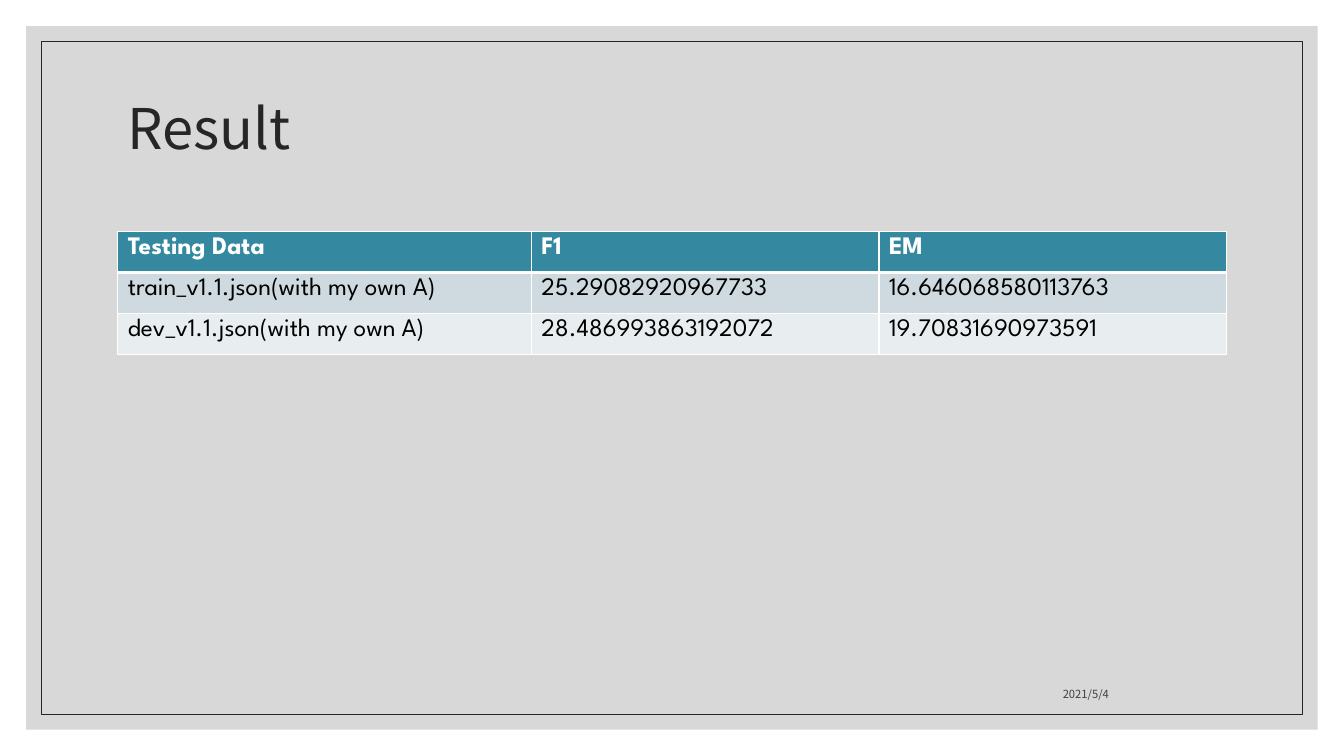
from dataclasses import dataclass

from lxml.etree import SubElement
from pptx import Presentation
from pptx.dml.color import RGBColor
from pptx.enum.shapes import MSO_SHAPE
from pptx.enum.text import MSO_ANCHOR, MSO_AUTO_SIZE, PP_ALIGN
from pptx.oxml import parse_xml
from pptx.oxml.ns import nsdecls, qn
from pptx.util import Cm, Pt

TITLE = "Result"
DATE = "2021/5/4"
RESULTS = [
    ("Testing Data", "F1", "EM"),
    ("train_v1.1.json(with my own A)", "25.29082920967733", "16.646068580113763"),
    ("dev_v1.1.json(with my own A)", "28.486993863192072", "19.70831690973591"),
]


@dataclass(frozen=True)
class Theme:
    heading_font: str = "Noto Sans CJK TC"
    table_font: str = "League Spartan"
    title_size: int = 40
    table_size: int = 18
    date_size: int = 8
    panel: str = "BFBFBF"
    panel_opacity: int = 60
    ink: str = "262626"
    date_ink: str = "404040"
    header_ink: str = "FFFFFF"
    body_ink: str = "000000"
    header_fill: str = "3488A0"
    bands: tuple = ("CEDADF", "E8EDF0")
    border: str = "FFFFFF"
    border_width: float = 1
    header_rule: float = 3
    frame_width: float = 0.5


THEME = Theme()
SLIDE_WIDTH, SLIDE_HEIGHT = Cm(33.87), Cm(19.05)
CONTENT_LEFT, CONTENT_WIDTH = Cm(2.97), Cm(27.94)
TABLE_TOP, ROW_HEIGHT = Cm(5.84), Cm(1.03)
COLUMN_WIDTHS = (Cm(10.42), Cm(8.76), Cm(8.76))


def style_text(text_frame, font, size, colour, bold=False):
    for para in text_frame.paragraphs:
        for span in para.runs:
            span.font.name = font
            span.font.size = Pt(size)
            span.font.bold = bold
            span.font.color.rgb = RGBColor.from_string(colour)


def add_inset_rectangle(page, inset):
    """Add a plain rectangle the same distance from every slide edge."""
    box = page.shapes.add_shape(
        MSO_SHAPE.RECTANGLE, inset, inset,
        SLIDE_WIDTH - 2 * inset, SLIDE_HEIGHT - 2 * inset)
    box.shadow.inherit = False
    return box


def add_background(page):
    panel = add_inset_rectangle(page, Cm(0.66))
    panel.fill.solid()
    panel.fill.fore_color.rgb = RGBColor.from_string(THEME.panel)
    colour = panel.element.spPr.find(qn("a:solidFill")).find(qn("a:srgbClr"))
    SubElement(colour, qn("a:alpha"), val=str(THEME.panel_opacity * 1000))
    panel.line.fill.background()

    frame = add_inset_rectangle(page, Cm(1.04))
    frame.fill.background()
    frame.line.color.rgb = RGBColor.from_string(THEME.ink)
    frame.line.width = Pt(THEME.frame_width)


def place_title(page):
    title = page.shapes.title
    title.left, title.top = CONTENT_LEFT, Cm(1.78)
    title.width, title.height = CONTENT_WIDTH, Cm(3.07)
    title.text_frame.text = TITLE
    title.text_frame.auto_size = MSO_AUTO_SIZE.NONE
    title.text_frame.vertical_anchor = MSO_ANCHOR.MIDDLE
    para = title.text_frame.paragraphs[0]
    para.alignment = PP_ALIGN.LEFT
    para.line_spacing = 0.9
    style_text(title.text_frame, THEME.heading_font, THEME.title_size, THEME.ink)
    # Bring the title in front of the background panel.
    title.element.getparent().append(title.element)


def set_borders(cell, top, bottom):
    """Draw all four cell edges; top and bottom are widths in points."""
    properties = cell._tc.get_or_add_tcPr()
    widths = {"lnL": THEME.border_width, "lnR": THEME.border_width,
              "lnT": top, "lnB": bottom}
    for position, (edge, width) in enumerate(widths.items()):
        properties.insert(position, parse_xml(
            f'<a:{edge} {nsdecls("a")} w="{Pt(width)}"><a:solidFill>'
            f'<a:srgbClr val="{THEME.border}"/></a:solidFill></a:{edge}>'))


def add_results_table(page):
    table = page.shapes.add_table(
        len(RESULTS), len(COLUMN_WIDTHS), CONTENT_LEFT, TABLE_TOP,
        CONTENT_WIDTH, ROW_HEIGHT * len(RESULTS)).table
    for column, width in zip(table.columns, COLUMN_WIDTHS):
        column.width = width
    for row_index, values in enumerate(RESULTS):
        table.rows[row_index].height = ROW_HEIGHT
        header = row_index == 0
        fill = THEME.header_fill if header else THEME.bands[(row_index - 1) % 2]
        ink = THEME.header_ink if header else THEME.body_ink
        top = THEME.header_rule if row_index == 1 else THEME.border_width
        bottom = THEME.header_rule if header else THEME.border_width
        for column_index, value in enumerate(values):
            cell = table.cell(row_index, column_index)
            cell.text_frame.text = value
            cell.fill.solid()
            cell.fill.fore_color.rgb = RGBColor.from_string(fill)
            style_text(cell.text_frame, THEME.table_font, THEME.table_size, ink, header)
            set_borders(cell, top, bottom)


def add_date(page):
    box = page.shapes.add_textbox(Cm(20.17), Cm(16.76), Cm(8.03), Cm(1.02))
    box.text_frame.word_wrap = True
    box.text_frame.vertical_anchor = MSO_ANCHOR.BOTTOM
    box.text_frame.text = DATE
    box.text_frame.paragraphs[0].alignment = PP_ALIGN.RIGHT
    style_text(box.text_frame, THEME.heading_font, THEME.date_size, THEME.date_ink)


def main():
    deck = Presentation()
    deck.slide_width, deck.slide_height = SLIDE_WIDTH, SLIDE_HEIGHT
    page = deck.slides.add_slide(deck.slide_layouts.get_by_name("Title Only"))
    add_background(page)
    place_title(page)
    add_results_table(page)
    add_date(page)
    deck.save("out.pptx")


if __name__ == "__main__":
    main()
